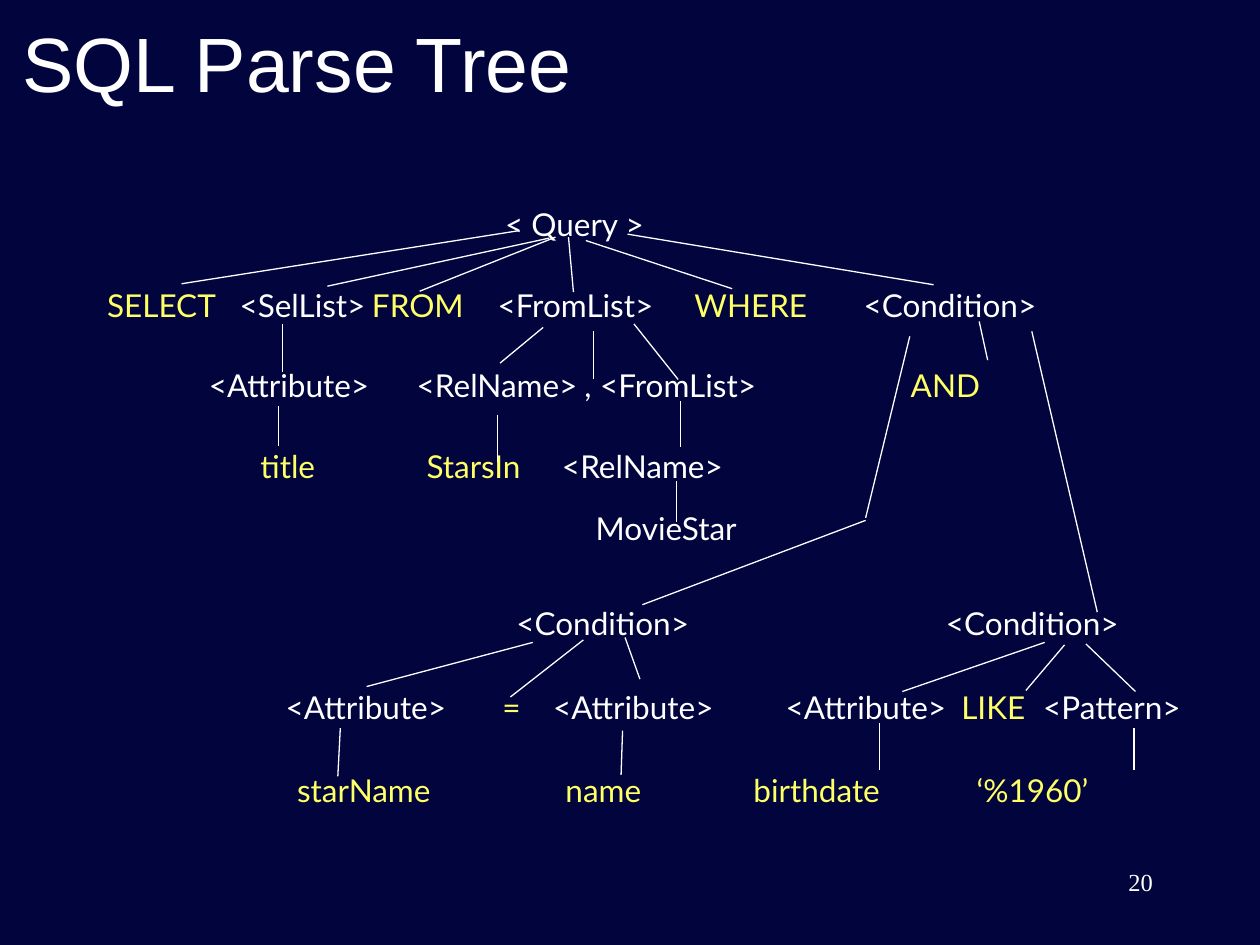
from dataclasses import dataclass
from typing import NamedTuple

from lxml.etree import SubElement
from pptx import Presentation
from pptx.dml.color import RGBColor
from pptx.enum.shapes import MSO_CONNECTOR
from pptx.enum.text import MSO_ANCHOR, PP_ALIGN
from pptx.oxml import parse_xml
from pptx.oxml.ns import nsdecls, qn
from pptx.slide import Slide
from pptx.util import Cm, Pt


@dataclass(frozen=True)
class Theme:
    background: RGBColor = RGBColor(0x01, 0x04, 0x3D)
    plain: RGBColor = RGBColor(0xFF, 0xFF, 0xFF)
    terminal: RGBColor = RGBColor(0xFF, 0xFF, 0x66)
    title_font: str = "Arial"
    tree_font: str = "Lato"
    number_font: str = "Times New Roman"
    title_size: int = 44
    tree_size: int = 18
    number_size: int = 14
    edge_width: float = 0.75


THEME = Theme()
INSET = 0.25


class Node(NamedTuple):
    text: str
    left: float = 0
    terminal: bool = False


class Label(NamedTuple):
    left: float
    top: float
    width: float
    nodes: tuple[Node, ...]
    height: float = 1.02
    font: str = THEME.tree_font
    size: int = THEME.tree_size
    align: PP_ALIGN = PP_ALIGN.LEFT
    anchor: MSO_ANCHOR = MSO_ANCHOR.MIDDLE


class Edge(NamedTuple):
    start_x: float
    start_y: float
    end_x: float
    end_y: float


LABELS = (
    Label(0.2, 0.2, 21.59, (Node("SQL Parse Tree"),), 2.08,
          THEME.title_font, THEME.title_size),
    Label(9.88, 4.01, 3.4, (Node("< Query >"),), align=PP_ALIGN.CENTER),
    Label(1.91, 5.64, 19.48, (
        Node("SELECT", terminal=True),
        Node("<SelList>", 4.83),
        Node("FROM", 7.5, True),
        Node("<FromList>", 10.03),
        Node("WHERE", 14),
        Node("<Condition>", 17.41),
    )[:4] + (Node("WHERE", 14, True), Node("<Condition>", 17.41))),
    Label(3.96, 7.26, 16.64, (
        Node("<Attribute>"),
        Node("<RelName>", 8.4),
        Node(",", 11.78),
        Node("<FromList>", 12.1),
        Node("AND", 18.36, True),
    )),
    Label(5, 8.89, 10.49, (
        Node("title", terminal=True),
        Node("StarsIn", 8.6, True),
        Node("<RelName>", 11.33),
    )),
    Label(11.76, 10.13, 3.51, (Node("MovieStar"),)),
    Label(10.16, 11.92, 14.63,
          (Node("<Condition>"), Node("<Condition>", 19.07)), 1.27),
    Label(5.51, 13.74, 19.23, (
        Node("<Attribute>"),
        Node("=", 10.13, True),
        Node("<Attribute>", 11.15),
        Node("<Attribute>", 15.84),
        Node("LIKE", 19.38, True),
        Node("<Pattern>", 21.03),
    )),
    Label(5.74, 15.42, 18.42, (
        Node("starName", terminal=True),
        Node("name", 11.4, True),
        Node("birthdate", 15.19, True),
        Node("‘%1960’", 19.69, True),
    )),
    Label(18.21, 17.35, 5.28, (Node("20"),), 1.27, THEME.number_font,
          THEME.number_size, PP_ALIGN.RIGHT, MSO_ANCHOR.TOP),
)

EDGES = (
    Edge(10.46, 4.65, 3.66, 5.72),
    Edge(11.07, 4.8, 6.6, 5.77),
    Edge(11.2, 4.78, 8.46, 5.87),
    Edge(11.46, 4.78, 11.56, 5.89),
    Edge(11.81, 4.85, 14.76, 5.82),
    Edge(12.65, 4.72, 18.82, 5.74),
    Edge(5.69, 6.53, 5.69, 7.49),
    Edge(10.95, 6.6, 10.08, 7.32),
    Edge(11.96, 6.68, 11.96, 7.65),
    Edge(12.78, 6.53, 13.67, 7.65),
    Edge(19.74, 6.48, 19.91, 7.26),
    Edge(18.34, 6.78, 17.45, 10.44),
    Edge(17.45, 10.49, 12.95, 12.19),
    Edge(20.8, 6.68, 22.12, 12.34),
    Edge(5.61, 8.18, 5.61, 8.99),
    Edge(10.03, 8.36, 10.03, 9.32),
    Edge(13.72, 8.08, 13.72, 9.02),
    Edge(13.64, 9.7, 13.64, 10.52),
    Edge(10.74, 12.95, 7.39, 13.84),
    Edge(11.76, 12.9, 10.29, 14.05),
    Edge(12.6, 12.85, 12.9, 13.69),
    Edge(21.06, 12.95, 18.19, 13.94),
    Edge(21.46, 13, 20.68, 13.92),
    Edge(21.89, 12.98, 22.89, 13.94),
    Edge(6.86, 14.68, 6.81, 15.65),
    Edge(12.55, 14.73, 12.52, 15.62),
    Edge(17.73, 14.58, 17.73, 15.52),
    Edge(22.86, 14.68, 22.86, 15.52),
)


def draw_label(page: Slide, label: Label) -> None:
    box = page.shapes.add_textbox(
        Cm(label.left), Cm(label.top), Cm(label.width), Cm(label.height))
    frame = box.text_frame
    frame.word_wrap = len(label.nodes) > 1 or label.font != THEME.tree_font
    frame.vertical_anchor = label.anchor
    para = frame.paragraphs[0]
    para.alignment = label.align
    para.font.name = label.font
    para.font.size = Pt(label.size)
    for index, node in enumerate(label.nodes):
        span = para.add_run()
        span.text = f"\t{node.text}" if index else node.text
        span.font.color.rgb = THEME.terminal if node.terminal else THEME.plain
    if len(label.nodes) > 1:
        tabs = parse_xml(f"<a:tabLst {nsdecls('a')}/>")
        for node in label.nodes[1:]:
            stop = Cm(node.left - label.left - INSET)
            SubElement(tabs, qn("a:tab"), pos=str(stop), algn="l")
        para._p.get_or_add_pPr().insert(0, tabs)


def draw_edge(page: Slide, edge: Edge) -> None:
    line = page.shapes.add_connector(
        MSO_CONNECTOR.STRAIGHT, *(Cm(value) for value in edge))
    line.line.color.rgb = THEME.plain
    line.line.width = Pt(THEME.edge_width)
    SubElement(line._element.spPr, qn("a:effectLst"))


def main() -> None:
    deck = Presentation()
    deck.slide_width, deck.slide_height = Cm(25.4), Cm(19.05)
    page = deck.slides.add_slide(deck.slide_layouts[6])
    page.background.fill.solid()
    page.background.fill.fore_color.rgb = THEME.background
    for label in LABELS:
        draw_label(page, label)
    for edge in EDGES:
        draw_edge(page, edge)
    deck.save("out.pptx")


if __name__ == "__main__":
    main()
